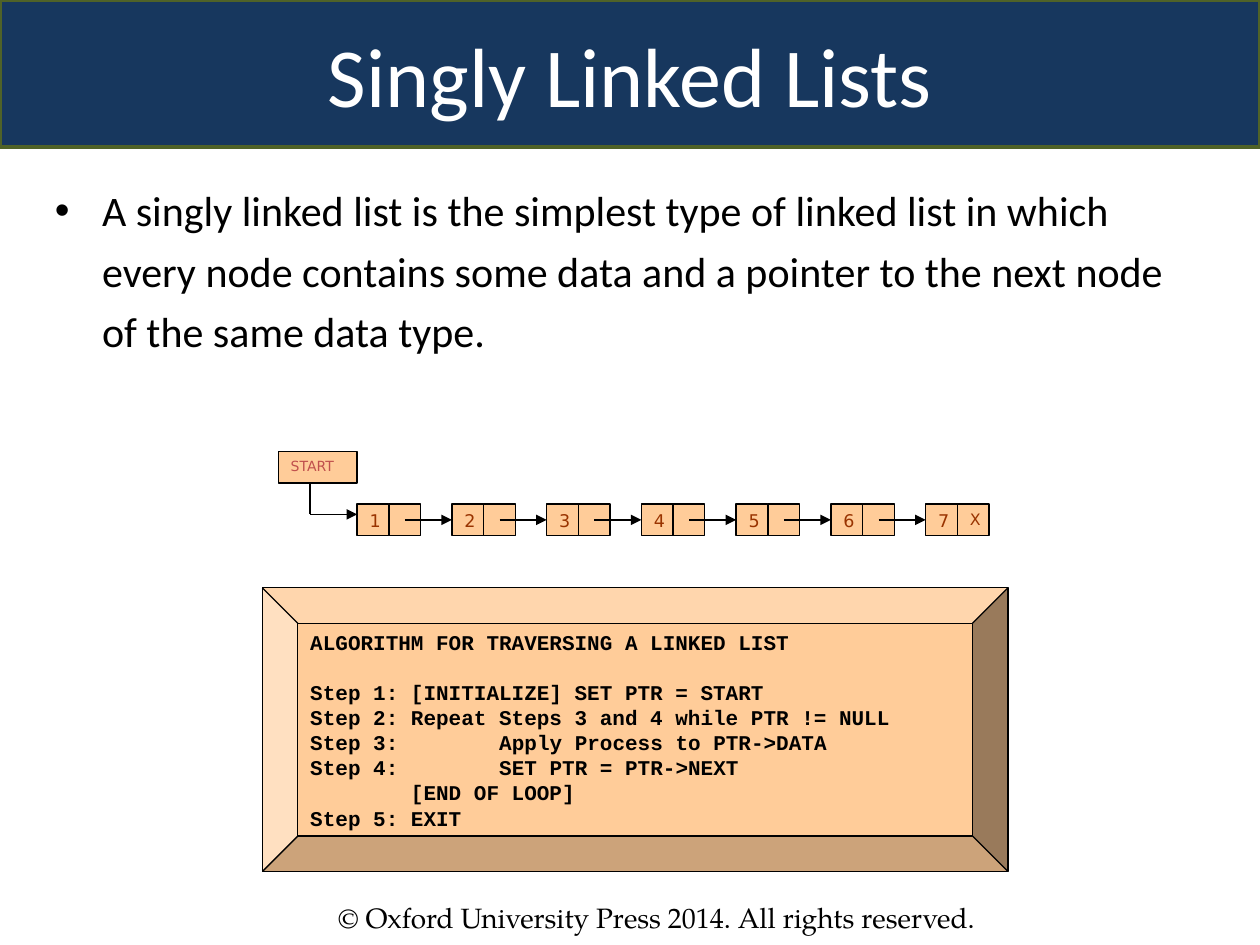
from dataclasses import dataclass

from lxml import etree
from pptx import Presentation
from pptx.dml.color import RGBColor
from pptx.enum.shapes import MSO_CONNECTOR, MSO_SHAPE
from pptx.enum.text import MSO_ANCHOR, MSO_AUTO_SIZE, PP_ALIGN
from pptx.oxml.ns import qn
from pptx.util import Cm, Pt

RECTANGLE, BEVEL = MSO_SHAPE.RECTANGLE, MSO_SHAPE.BEVEL
STRAIGHT = MSO_CONNECTOR.STRAIGHT
TOP, MIDDLE = MSO_ANCHOR.TOP, MSO_ANCHOR.MIDDLE
LEFT, CENTER = PP_ALIGN.LEFT, PP_ALIGN.CENTER
NO_AUTOFIT = MSO_AUTO_SIZE.NONE
LEFT_SIDE = 1


@dataclass(frozen=True)
class Theme:
    black: str = "000000"
    white: str = "FFFFFF"
    banner: str = "17375E"
    banner_edge: str = "4F6228"
    peach: str = "FFCC99"
    node_text: str = "993300"
    start_text: str = "C0504D"
    main_font: str = "Calibri"
    node_font: str = "DejaVu Sans"
    code_font: str = "Courier New"
    footer_font: str = "TeX Gyre Pagella"
    title_size: float = 48
    body_size: float = 24
    footer_size: float = 16
    code_size: float = 12
    node_size: float = 10
    end_size: float = 9
    start_size: float = 8
    thin: float = 0.75
    banner_line: float = 2


THEME = Theme()

TITLE = "Singly Linked Lists"
DEFINITION = (
    "A singly linked list is the simplest type of linked list in which every node "
    "contains some data and a pointer to the next node of the same data type."
)
START = "START"
NODES = ["1", "2", "3", "4", "5", "6", "7"]
END_MARK = "X"
ALGORITHM = [
    "ALGORITHM FOR TRAVERSING A LINKED LIST",
    "Step 1: [INITIALIZE] SET PTR = START",
    "Step 2: Repeat Steps 3 and 4 while PTR != NULL",
    "Step 3: \t\tApply Process to PTR->DATA",
    "Step 4: \t\tSET PTR = PTR->NEXT",
    "        [END OF LOOP]",
    "Step 5: EXIT",
]
COPYRIGHT = "© Oxford University Press 2014. All rights reserved."

TITLE_BOX = (0, 0, 25.4, 2.96)
BODY_BOX = (0.85, 3.39, 23.7, 4.26)
START_BOX = (5.61, 9.1, 1.59, 0.64)
ALGORITHM_BOX = (5.29, 11.85, 15.03, 5.72)
FOOTER_BOX = (6.56, 18.03, 15.03, 0.94)
CHAIN_LEFT, CHAIN_TOP = 7.2, 10.16
CELL, PITCH = 0.64, 1.91
START_STEM, STEM_END = 6.25, 10.37


def rgb(value):
    return RGBColor.from_string(value)


def lengths(values):
    return [Cm(value) for value in values]


def place(placeholder, box):
    placeholder.left, placeholder.top, placeholder.width, placeholder.height = lengths(box)


def write(holder, lines, font, size, color, align=LEFT, anchor=TOP, bold=False):
    frame = holder.text_frame
    frame.word_wrap = True
    frame.auto_size = NO_AUTOFIT
    frame.vertical_anchor = anchor
    frame.text = "\n".join(lines)
    for paragraph in frame.paragraphs:
        paragraph.alignment = align
        paragraph.font.name = font
        paragraph.font.size = Pt(size)
        paragraph.font.bold = bold
        paragraph.font.color.rgb = rgb(color)
    return frame.paragraphs[0]


def paint(shape, fill, line, width):
    shape.fill.solid()
    shape.fill.fore_color.rgb = rgb(fill)
    shape.line.color.rgb = rgb(line)
    shape.line.width = Pt(width)


def add_panel(slide, kind, box):
    panel = slide.shapes.add_shape(kind, *lengths(box))
    panel.shadow.inherit = False
    paint(panel, THEME.peach, THEME.black, THEME.thin)
    return panel


def add_line(slide, begin, end, arrow=True):
    line = slide.shapes.add_connector(STRAIGHT, *lengths(begin + end))
    line.line.color.rgb = rgb(THEME.black)
    line.line.width = Pt(THEME.thin)
    if arrow:
        etree.SubElement(line.line._get_or_add_ln(), qn("a:tailEnd"), type="triangle")
    etree.SubElement(line._element.spPr, qn("a:effectLst"))
    return line


def add_chain(slide):
    lefts = [CHAIN_LEFT + index * PITCH for index in range(len(NODES))]
    data_cells = []
    for left, label in zip(lefts, NODES):
        data_cell = add_panel(slide, RECTANGLE, (left, CHAIN_TOP, CELL, CELL))
        write(data_cell, [label], THEME.node_font, THEME.node_size, THEME.node_text)
        data_cells.append(data_cell)
        pointer_cell = add_panel(slide, RECTANGLE, (left + CELL, CHAIN_TOP, CELL, CELL))
    write(pointer_cell, [END_MARK], THEME.node_font, THEME.end_size, THEME.node_text)

    middle = CHAIN_TOP + CELL / 2
    for left, next_left, next_cell in zip(lefts, lefts[1:], data_cells[1:]):
        link = add_line(slide, (left + 1.5 * CELL, middle), (next_left, middle))
        link.end_connect(next_cell, LEFT_SIDE)


def add_start(slide):
    start = add_panel(slide, RECTANGLE, START_BOX)
    write(start, [START], THEME.node_font, THEME.start_size, THEME.start_text)
    corner = (START_STEM, STEM_END)
    add_line(slide, (START_STEM, START_BOX[1] + START_BOX[3]), corner, arrow=False)
    add_line(slide, corner, (CHAIN_LEFT, STEM_END))


def main():
    deck = Presentation()
    deck.slide_width, deck.slide_height = Cm(25.4), Cm(19.05)
    slide = deck.slides.add_slide(deck.slide_layouts[1])
    title, body = slide.placeholders

    place(title, TITLE_BOX)
    paint(title, THEME.banner, THEME.banner_edge, THEME.banner_line)
    write(title, [TITLE], THEME.main_font, THEME.title_size, THEME.white, CENTER, MIDDLE)

    place(body, BODY_BOX)
    definition = write(body, [DEFINITION], THEME.main_font, THEME.body_size, THEME.black)
    definition.line_spacing = 1.2
    definition.space_before = Pt(0)

    add_chain(slide)
    add_start(slide)

    algorithm = add_panel(slide, BEVEL, ALGORITHM_BOX)
    algorithm.adjustments[0] = 0.125
    heading = write(
        algorithm, ALGORITHM, THEME.code_font, THEME.code_size, THEME.black, bold=True
    )
    heading.space_after = Pt(14)

    footer = slide.shapes.add_textbox(*lengths(FOOTER_BOX))
    write(footer, [COPYRIGHT], THEME.footer_font, THEME.footer_size, THEME.black)

    deck.save("out.pptx")


if __name__ == "__main__":
    main()
